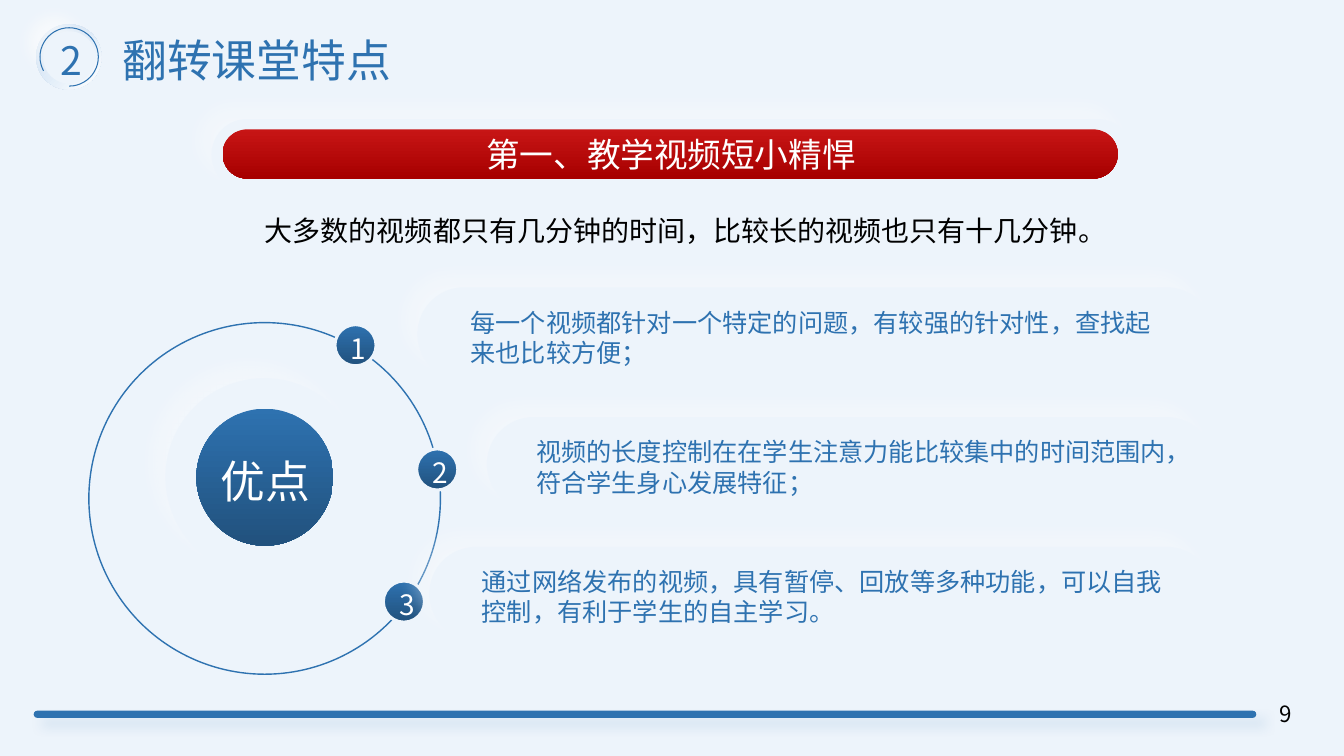
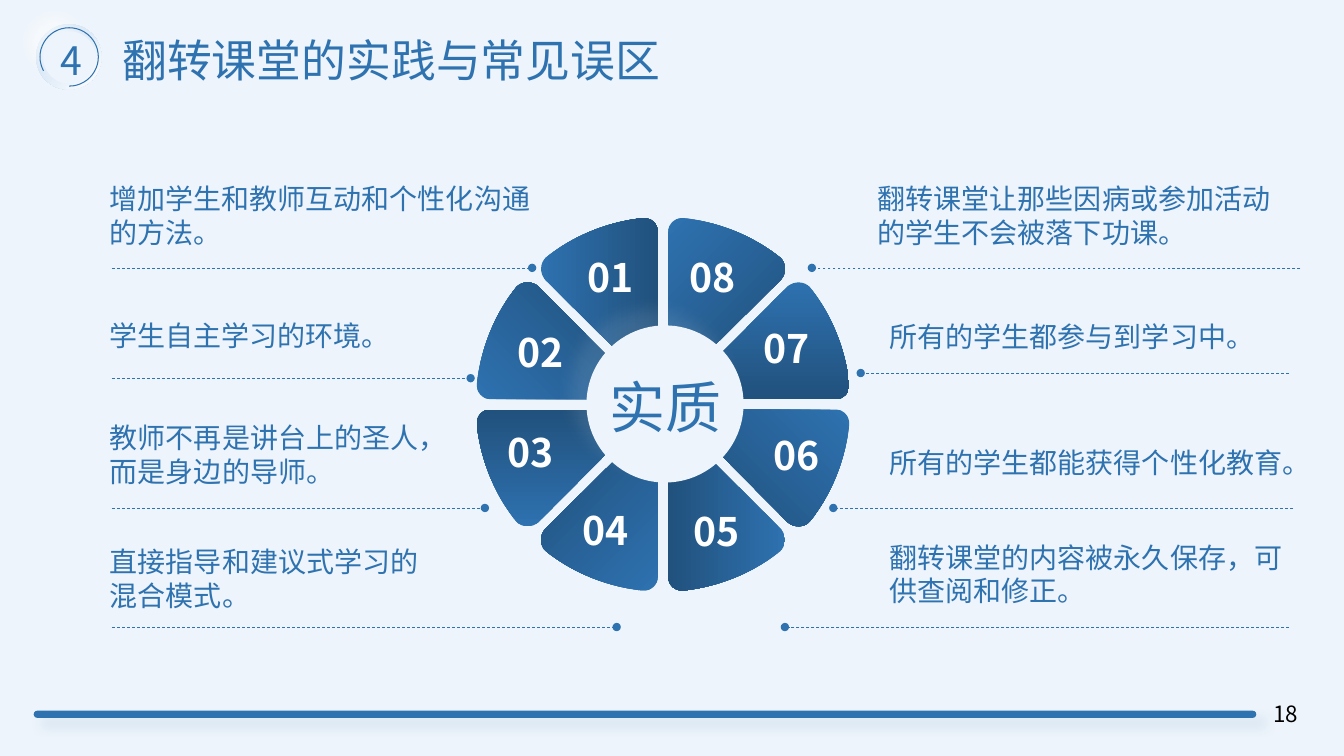
import lxml.etree
import pptx
import pptx.dml.color
import pptx.enum.dml
import pptx.enum.shapes
import pptx.enum.text
import pptx.oxml.ns
import pptx.util

Cm = pptx.util.Cm
Pt = pptx.util.Pt
color = pptx.dml.color.RGBColor.from_string
qn = pptx.oxml.ns.qn
SHAPE = pptx.enum.shapes.MSO_SHAPE
ALIGN = pptx.enum.text.PP_ALIGN

FONT = "Noto Sans CJK SC"
BACKGROUND, BLUE, WHITE, BLACK = "EDF4FB", "2E72B0", "FFFFFF", "000000"
BLUE_FADE = (BLUE, "21517D")
RED_FADE = ("C71515", "A70000")
BADGE_FADE = ("C1D9F1", WHITE)
# Shadows: colour, opacity %, blur pt, distance pt, direction in degrees
BAR_SHADOW = (BLUE, 16, 8, 8, 45)
BADGE_GLOW = (WHITE, 66, 12, 15, 225)
PANEL_GLOW = (WHITE, 29, 12, 15, 225)
HUB_GLOW = (WHITE, 10, 12, 15, 225)


def style_shape(shape, fill=None, angle=270, line=None, line_width=1, shadow=None):
    """Set fill (one colour, or a pair for a gradient), outline and shadow."""
    if fill is None:
        shape.fill.background()
    elif isinstance(fill, tuple):
        shape.fill.gradient()
        shape.fill.gradient_angle = angle
        for stop, stop_color in zip(shape.fill.gradient_stops, fill):
            stop.color.rgb = color(stop_color)
    else:
        shape.fill.solid()
        shape.fill.fore_color.rgb = color(fill)
    if line:
        shape.line.color.rgb = color(line)
        shape.line.width = Pt(line_width)
    else:
        shape.line.fill.background()
    shape.shadow.inherit = False
    if shadow:
        shadow_color, opacity, blur, distance, direction = shadow
        effects = shape._element.spPr.find(qn("a:effectLst"))
        outer = lxml.etree.SubElement(
            effects, qn("a:outerShdw"), blurRad=str(Pt(blur)), dist=str(Pt(distance)),
            dir=str(direction * 60000), algn="ctr", rotWithShape="0")
        tint = lxml.etree.SubElement(outer, qn("a:srgbClr"), val=shadow_color)
        lxml.etree.SubElement(tint, qn("a:alpha"), val=str(opacity * 1000))


def write_text(shape, text, size, text_color=BLUE, align=ALIGN.LEFT, bold=False):
    frame = shape.text_frame
    frame.text = text
    frame.auto_size = pptx.enum.text.MSO_AUTO_SIZE.NONE
    frame.word_wrap = True
    frame.vertical_anchor = pptx.enum.text.MSO_ANCHOR.TOP
    paragraph = frame.paragraphs[0]
    paragraph.alignment = align
    font = paragraph.runs[0].font
    font.size = Pt(size)
    font.bold = bold
    font.name = FONT
    font.color.rgb = color(text_color)
    lxml.etree.SubElement(font._element, qn("a:ea"), typeface=FONT)


presentation = pptx.Presentation()
presentation.slide_width, presentation.slide_height = Cm(33.87), Cm(19.05)
master_fill = presentation.slide_master.background.fill
master_fill.solid()
master_fill.fore_color.rgb = color(BACKGROUND)
layout = presentation.slide_layouts[5]
for placeholder in list(layout.placeholders):
    if placeholder.placeholder_format.idx != 0:
        placeholder._element.getparent().remove(placeholder._element)

# Title, section number and page number of each slide
slides = []
for title, section, page in (("翻转课堂特点", "2", "9"), ("翻转课堂的实践与常见误区", "4", "18")):
    slide = presentation.slides.add_slide(layout)
    slides.append(slide)
    heading = slide.shapes.title
    heading.left, heading.top, heading.width, heading.height = map(Cm, (2.83, 0.7, 16.13, 1.63))
    write_text(heading, title, 32)
    section_box = slide.shapes.add_textbox(*map(Cm, (1.27, 0.79, 0.86, 1.45)))
    write_text(section_box, section, 28, align=ALIGN.CENTER)
    page_box = slide.shapes.add_textbox(*map(Cm, (31.5, 17.53, 1.8, 1.02)))
    write_text(page_box, page, 16, BLACK, ALIGN.CENTER)
advantages, essence = slides

# Footer bar and badge are drawn once and moved to the layout
footer_bar = advantages.shapes.add_shape(
    SHAPE.ROUNDED_RECTANGLE, *map(Cm, (0.85, 17.91, 30.81, 0.18)))
footer_bar.adjustments[0] = 0.5
style_shape(footer_bar, BLUE, shadow=BAR_SHADOW)
badge_rim = advantages.shapes.add_shape(SHAPE.OVAL, *map(Cm, (0.91, 0.61, 1.65, 1.65)))
style_shape(badge_rim, BADGE_FADE, angle=315)
badge_face = advantages.shapes.add_shape(SHAPE.OVAL, *map(Cm, (1.09, 0.79, 1.32, 1.32)))
style_shape(badge_face, BACKGROUND, shadow=BADGE_GLOW)
badge_arc = advantages.shapes.add_shape(SHAPE.ARC, *map(Cm, (1.01, 0.7, 1.47, 1.47)))
badge_arc.adjustments[0], badge_arc.adjustments[1] = 90.93, 53.98
style_shape(badge_arc, line=BLUE, line_width=0.75)
for shape in (footer_bar, badge_rim, badge_face, badge_arc):
    layout.shapes._spTree.append(shape._element)

# Slide 1: banner, centre disc and three advantages
shapes = advantages.shapes
for box, fill, glow in (
    ((5.33, 3, 23.22, 1.8), BACKGROUND, PANEL_GLOW),
    ((5.61, 3.26, 22.56, 1.24), RED_FADE, None),
    ((4.17, 9.53, 4.98, 4.98), BACKGROUND, PANEL_GLOW),
    ((4.95, 10.3, 3.45, 3.45), BLUE_FADE, None),
):
    plate = shapes.add_shape(SHAPE.ROUNDED_RECTANGLE, *map(Cm, box))
    plate.adjustments[0] = 0.5
    style_shape(plate, fill, shadow=glow)

for text, box, size, text_color in (
    ("第一、教学视频短小精悍", (8.44, 3.26, 16.94, 1.27), 24, WHITE),
    ("大多数的视频都只有几分钟的时间，比较长的视频也只有十几分钟。",
     (6.23, 5.26, 21.39, 1.12), 20, BLACK),
    ("优点", (5.27, 11.3, 2.84, 1.45), 32, WHITE),
):
    write_text(shapes.add_textbox(*map(Cm, box)), text, size, text_color, ALIGN.CENTER)

ring = shapes.add_shape(SHAPE.OVAL, *map(Cm, (2.24, 8.13, 8.86, 8.86)))
style_shape(ring, line=BLUE)

CARD_TOP, CARD_STEP, CARD_RIGHT = 7.24, 3.27, 30.58
for index, (marker_left, marker_top, card_left, text_left, text_width, text) in enumerate((
    (8.44, 8.18, 10.52, 11.61, 17.96,
     "每一个视频都针对一个特定的问题，有较强的针对性，查找起来也比较方便；"),
    (10.5, 11.31, 12.27, 13.26, 16.38,
     "视频的长度控制在在学生注意力能比较集中的时间范围内，符合学生身心发展特征；"),
    (9.66, 14.64, 10.82, 11.89, 17.68,
     "通过网络发布的视频，具有暂停、回放等多种功能，可以自我控制，有利于学生的自主学习。"),
)):
    top = CARD_TOP + index * CARD_STEP
    marker = shapes.add_shape(SHAPE.OVAL, *map(Cm, (marker_left, marker_top, 1.04, 1.04)))
    style_shape(marker, BLUE_FADE, line=BACKGROUND, line_width=2.25)
    digit = shapes.add_textbox(*map(Cm, (marker_left + 0.15, marker_top + 0.05, 0.79, 1.12)))
    write_text(digit, str(index + 1), 20, WHITE, ALIGN.CENTER)
    card = shapes.add_shape(
        SHAPE.ROUNDED_RECTANGLE, *map(Cm, (card_left, top, CARD_RIGHT - card_left, 2.36)))
    card.adjustments[0] = 0.5
    style_shape(card, BACKGROUND, shadow=PANEL_GLOW)
    card_text = shapes.add_textbox(*map(Cm, (text_left, top + 0.37, text_width, 1.8)))
    write_text(card_text, text, 18)

# Slide 2: wheel of eight mirrored segments
shapes = essence.shapes
CENTER_X, CENTER_Y = 16.71, 10.19
# Outline right of twelve o'clock, in cm from the centre, y upwards
SEGMENT_OUTLINE = (
    (0.99, 1.18), (0.81, 1.33), (0.53, 1.51), (0.13, 1.54),
    (0.13, 4.33), (0.13, 4.56), (0.3, 4.71), (0.53, 4.69),
    (1.41, 4.59), (2.26, 4.25), (2.95, 3.7),
    (3.1, 3.57), (3.12, 3.31), (2.97, 3.14),
)
CURVE_STARTS = (0, 4, 7, 10)

for number in range(1, 9):
    side = -1 if number <= 4 else 1
    half = 1 if 3 <= number <= 6 else -1
    points = []
    for x, y in SEGMENT_OUTLINE:
        if number in (2, 3, 6, 7):
            x, y = y, x
        points.append((Cm(CENTER_X + side * x), Cm(CENTER_Y + half * y)))
    builder = shapes.build_freeform(*points[0])
    builder.add_line_segments(points[1:], close=True)
    segment = builder.convert_to_shape()
    style_shape(segment, BLUE_FADE, angle=45 * (number - 1))
    # Each run of three line points becomes one Bezier curve
    lines = list(segment._element.iter(qn("a:lnTo")))
    for start in CURVE_STARTS:
        curve = lxml.etree.Element(qn("a:cubicBezTo"))
        lines[start].addprevious(curve)
        for line in lines[start:start + 3]:
            curve.append(line[0])
            line.getparent().remove(line)

hub = shapes.add_shape(SHAPE.OVAL, *map(Cm, (14.78, 8.2, 3.96, 3.96)))
style_shape(hub, BACKGROUND, shadow=HUB_GLOW)
hub_text = shapes.add_textbox(*map(Cm, (14.99, 9.25, 3.56, 1.96)))
write_text(hub_text, "实质", 40, align=ALIGN.CENTER)

for number, (left, top) in enumerate((
    (14.22, 6.27), (12.45, 8.15), (12.19, 10.67), (14.1, 12.64),
    (16.89, 12.67), (18.9, 10.74), (18.66, 8.05), (16.79, 6.27),
), start=1):
    label = shapes.add_textbox(*map(Cm, (left, top, 2.34, 1.45)))
    write_text(label, f"{number:02d}", 28, WHITE, ALIGN.CENTER, bold=True)

# Notes: text box, then the leader line's start, end and height
for text, box, line_start, line_end, line_y in (
    ("增加学生和教师互动和个性化沟通的方法。", (2.51, 4.45, 11.53, 1.96), 2.82, 13.41, 6.75),
    ("学生自主学习的环境。", (2.51, 7.9, 7.34, 1.12), 2.82, 11.86, 9.53),
    ("教师不再是讲台上的圣人，而是身边的导师。", (2.52, 10.48, 8.59, 1.96), 2.82, 12.22, 12.8),
    ("直接指导和建议式学习的混合模式。", (2.52, 13.6, 8.59, 1.96), 2.82, 15.54, 15.8),
    ("翻转课堂让那些因病或参加活动的学生不会被落下功课。",
     (21.87, 4.45, 10.41, 1.96), 32.77, 20.46, 6.75),
    ("所有的学生都参与到学习中。", (22.17, 7.92, 10.41, 1.12), 32.49, 21.69, 9.4),
    ("所有的学生都能获得个性化教育。", (22.17, 11.1, 10.64, 1.12), 32.59, 21, 12.8),
    ("翻转课堂的内容被永久保存，可供查阅和修正。",
     (22.17, 13.49, 10.41, 1.96), 32.49, 19.78, 15.8),
):
    write_text(shapes.add_textbox(*map(Cm, box)), text, 20)
    leader = shapes.add_connector(
        pptx.enum.shapes.MSO_CONNECTOR.STRAIGHT,
        *map(Cm, (line_start, line_y, line_end, line_y)))
    leader.line.color.rgb = color(BLUE)
    leader.line.width = Pt(0.5)
    leader.line.dash_style = pptx.enum.dml.MSO_LINE.DASH
    lxml.etree.SubElement(leader.line._get_or_add_ln(), qn("a:tailEnd"), type="oval")
    lxml.etree.SubElement(leader._element.spPr, qn("a:effectLst"))

presentation.save("out.pptx")
